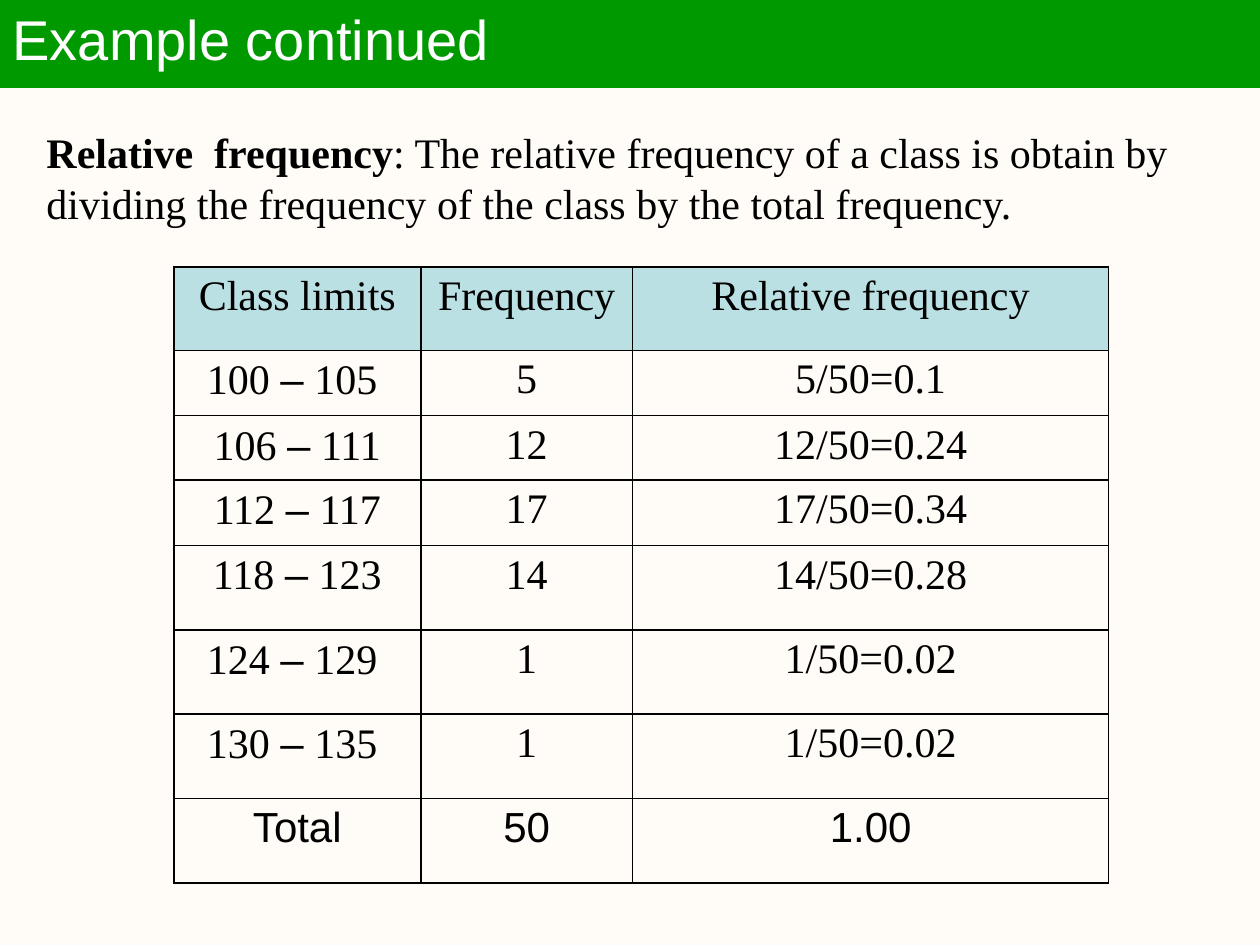
import pptx
import pptx.util
import pptx.dml.color
import pptx.enum.text
import pptx.oxml
import pptx.oxml.ns
from dataclasses import dataclass

Inches, Pt = pptx.util.Inches, pptx.util.Pt
RGB = pptx.dml.color.RGBColor.from_string
ALIGN = pptx.enum.text.PP_ALIGN
ANCHOR = pptx.enum.text.MSO_ANCHOR


@dataclass(frozen=True)
class Theme:
    background: str = "FFFCF7"
    banner: str = "009900"
    header: str = "BBE0E3"
    ink: str = "000000"
    light: str = "FFFFFF"
    sans: str = "Arial"
    serif: str = "Times New Roman"
    title_size: int = 32
    body_size: int = 24


THEME = Theme()
TOTAL = 50
# Class limits (the trailing spaces shift the centred text) and frequency
CLASSES = [
    ("100 – 105 ", 5), ("106 – 111", 12), ("112 – 117", 17),
    ("118 – 123", 14), ("124 – 129 ", 1), ("130 – 135 ", 1),
]
COLUMNS = [1.96, 1.68, 3.78]
ROWS = [0.66, 0.52, 0.51, 0.52] + [0.67] * 4


def add_run(p, text, font=THEME.serif, size=THEME.body_size, color=THEME.ink, bold=False):
    r = p.add_run()
    r.text = text
    r.font.name, r.font.size, r.font.bold = font, Pt(size), bold
    r.font.color.rgb = RGB(color)


def add_title(slide, text, left, top, width, height):
    sp = slide.shapes.title
    sp.left, sp.top, sp.width, sp.height = left, top, width, height
    sp.fill.solid()
    sp.fill.fore_color.rgb = RGB(THEME.banner)
    sp.line.color.rgb = RGB(THEME.banner)
    sp.line.width = Pt(0.75)
    tf = sp.text_frame
    tf.vertical_anchor = ANCHOR.MIDDLE
    tf.auto_size = pptx.enum.text.MSO_AUTO_SIZE.NONE
    p = tf.paragraphs[0]
    p.alignment = ALIGN.LEFT
    p.line_spacing = 0.9
    add_run(p, text, THEME.sans, THEME.title_size, THEME.light)


def add_definition(slide, term, meaning, left, top, width, height):
    tf = slide.shapes.add_textbox(left, top, width, height).text_frame
    tf.word_wrap = True
    p = tf.paragraphs[0]
    p.line_spacing = Pt(29)
    add_run(p, term, bold=True)
    add_run(p, meaning)


def set_borders(cell):
    tcPr = cell._tc.get_or_add_tcPr()
    for side in "LRTB":
        tcPr.append(pptx.oxml.parse_xml(
            f'<a:ln{side} {pptx.oxml.ns.nsdecls("a")} w="{Pt(1)}"><a:solidFill>'
            f'<a:srgbClr val="{THEME.ink}"/></a:solidFill></a:ln{side}>'))


def fill_cell(cell, text, font, fill):
    set_borders(cell)
    if fill:
        cell.fill.solid()
        cell.fill.fore_color.rgb = RGB(fill)
    else:
        cell.fill.background()
    p = cell.text_frame.paragraphs[0]
    p.alignment = ALIGN.CENTER
    # The dash between class limits is set in the sans font
    start, dash, end = text.partition("–")
    add_run(p, start, font)
    if dash:
        add_run(p, dash, THEME.sans)
        add_run(p, end, font)


def add_frequency_table(slide, left, top, width, height):
    rows = [("Class limits", "Frequency", "Relative frequency")]
    rows += [(limits, str(n), f"{n}/{TOTAL}={n / TOTAL:g}") for limits, n in CLASSES]
    rows.append(("Total", str(TOTAL), "1.00"))

    table = slide.shapes.add_table(len(rows), len(COLUMNS), left, top, width, height).table
    table.first_row = table.horz_banding = False
    for column, size in zip(table.columns, COLUMNS):
        column.width = Inches(size)
    for row, size in zip(table.rows, ROWS):
        row.height = Inches(size)
    for i, texts in enumerate(rows):
        font = THEME.sans if i == len(rows) - 1 else THEME.serif
        for j, text in enumerate(texts):
            fill_cell(table.cell(i, j), text, font, THEME.header if i == 0 else None)


def main():
    prs = pptx.Presentation()
    prs.slide_width, prs.slide_height = Inches(10), Inches(7.5)
    s = prs.slides.add_slide(prs.slide_layouts[5])
    s.background.fill.solid()
    s.background.fill.fore_color.rgb = RGB(THEME.background)

    # Banner title
    add_title(s, "Example continued", Inches(0), Inches(-0.02), Inches(10), Inches(0.71))
    # Definition
    add_definition(
        s, "Relative  frequency",
        ": The relative frequency of a class is obtain by dividing the frequency "
        "of the class by the total frequency.",
        Inches(0.27), Inches(0.95), Inches(9.31), Inches(0.91))
    # Frequency table
    add_frequency_table(s, Inches(1.38), Inches(2.12), Inches(sum(COLUMNS)), Inches(sum(ROWS)))

    prs.save("out.pptx")


if __name__ == "__main__":
    main()
